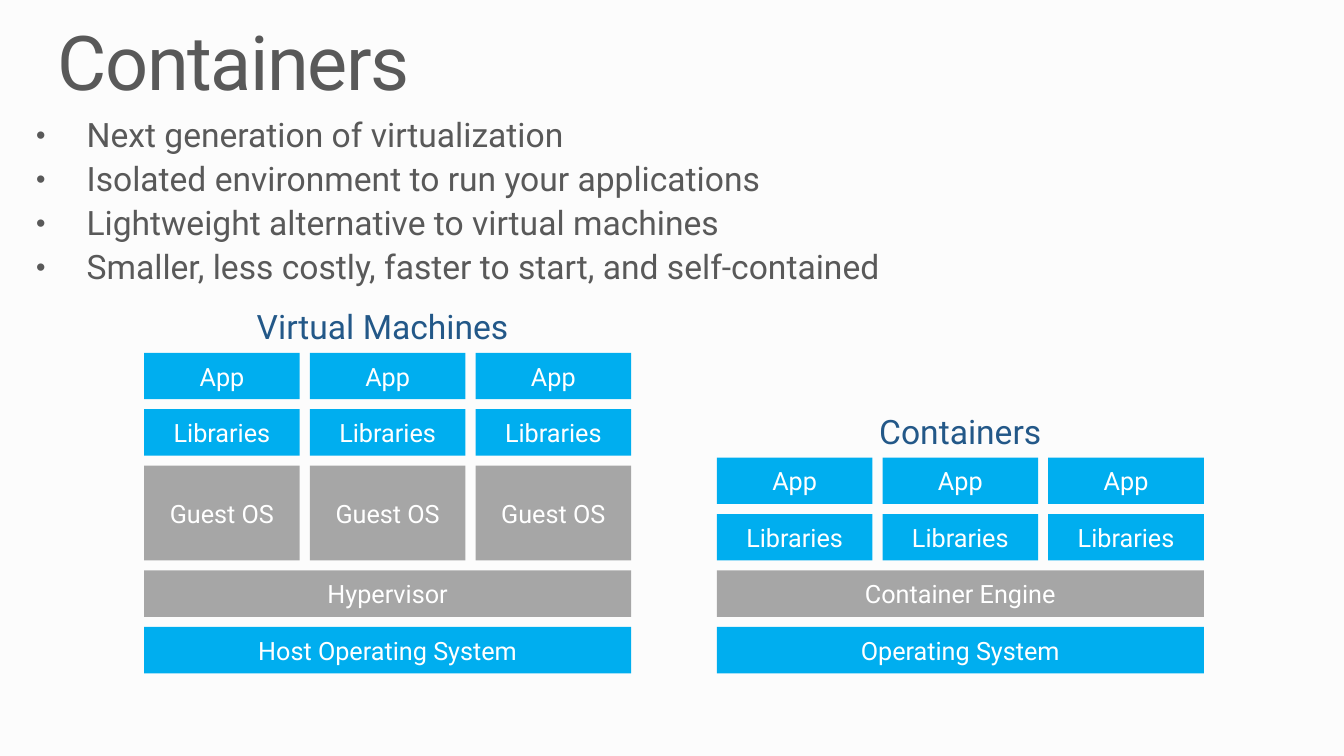
from pptx import Presentation
from pptx.dml.color import RGBColor
from pptx.enum.shapes import MSO_SHAPE
from pptx.enum.text import MSO_ANCHOR, PP_ALIGN
from pptx.oxml.ns import qn
from pptx.util import Inches, Pt
from lxml.etree import SubElement

BLUE, GRAY, NAVY, TEXT, WHITE = "00AEEF", "A6A6A6", "235888", "595959", "FFFFFF"
ROW, GAP = 0.46, 0.1
POINTS = [
    "Next generation of virtualization",
    "Isolated environment to run your applications",
    "Lightweight alternative to virtual machines",
    "Smaller, less costly, faster to start, and self-contained",
]
# Layers from bottom to top: label, fill, columns, height
MACHINES = [
    ("Host Operating System", BLUE, 1, ROW),
    ("Hypervisor", GRAY, 1, ROW),
    ("Guest OS", GRAY, 3, 0.94),
    ("Libraries", BLUE, 3, ROW),
    ("App", BLUE, 3, ROW),
]
ENGINE = [
    ("Operating System", BLUE, 1, ROW),
    ("Container Engine", GRAY, 1, ROW),
    ("Libraries", BLUE, 3, ROW),
    ("App", BLUE, 3, ROW),
]


def color(code):
    return RGBColor.from_string(code)


def style(para, size, code, align=PP_ALIGN.LEFT):
    para.alignment = align
    for run in para.runs:
        run.font.size = Pt(size)
        run.font.name = "Roboto"
        run.font.color.rgb = color(code)


def inset(frame):
    frame.margin_left = frame.margin_right = 0
    frame.margin_top = frame.margin_bottom = 0
    frame.word_wrap = True


def title(slide, left, top, width, height):
    head = slide.shapes.title
    head.left, head.top = Inches(left), Inches(top)
    head.width, head.height = Inches(width), Inches(height)
    frame = head.text_frame
    inset(frame)
    frame.vertical_anchor = MSO_ANCHOR.TOP
    frame.text = "Containers"
    para = frame.paragraphs[0]
    para.line_spacing = 0.9
    style(para, 54, TEXT)
    para.runs[0].font._element.set("spc", "-100")


def bullets(slide, left, top, width, height):
    box = slide.shapes.add_textbox(*map(Inches, (left, top, width, height)))
    frame = box.text_frame
    inset(frame)
    frame.text = "\n".join(POINTS)
    for index, para in enumerate(frame.paragraphs):
        para.line_spacing = 0.9
        para.space_before = Pt(5.5 if index else 0)
        props = para._p.get_or_add_pPr()
        props.set("marL", str(Inches(0.5)))
        props.set("indent", str(Inches(-0.5)))
        SubElement(props, qn("a:buSzPct")).set("val", "80000")
        SubElement(props, qn("a:buFont")).set("typeface", "Arial")
        SubElement(props, qn("a:buChar")).set("char", "•")
        style(para, 24, TEXT)


def block(slide, label, fill, *area):
    rect = slide.shapes.add_shape(MSO_SHAPE.RECTANGLE, *map(Inches, area))
    rect.shadow.inherit = False
    rect.fill.solid()
    rect.fill.fore_color.rgb = color(fill)
    rect.line.fill.background()
    frame = rect.text_frame
    frame.vertical_anchor = MSO_ANCHOR.MIDDLE
    frame.text = label
    style(frame.paragraphs[0], 18, WHITE, PP_ALIGN.CENTER)


def stack(slide, name, layers, left, base, width, shift):
    """Layers grow upward from the base; the heading rests on the top one."""
    top = base + GAP
    for label, fill, cols, height in layers:
        top -= height + GAP
        cell = (width - GAP * (cols - 1)) / cols
        for col in range(cols):
            block(slide, label, fill, left + col * (cell + GAP), top, cell, height)
    area = (left - shift, top - 0.51, width + GAP, 0.5)
    frame = slide.shapes.add_textbox(*map(Inches, area)).text_frame
    frame.word_wrap = True
    frame.text = name
    style(frame.paragraphs[0], 24, NAVY, PP_ALIGN.CENTER)


def main():
    deck = Presentation()
    deck.slide_width, deck.slide_height = Inches(13.33), Inches(7.5)
    slide = deck.slides.add_slide(deck.slide_layouts[5])
    slide.background.fill.solid()
    slide.background.fill.fore_color.rgb = color("FCFCFC")
    title(slide, 0.57, 0.25, 12.2, 0.82)
    bullets(slide, 0.36, 1.18, 12.2, 1.7)
    stack(slide, "Virtual Machines", MACHINES, 1.43, 6.68, 4.83, 0.1)
    stack(slide, "Containers", ENGINE, 7.11, 6.68, 4.83, 0.05)
    deck.save("out.pptx")


if __name__ == "__main__":
    main()
